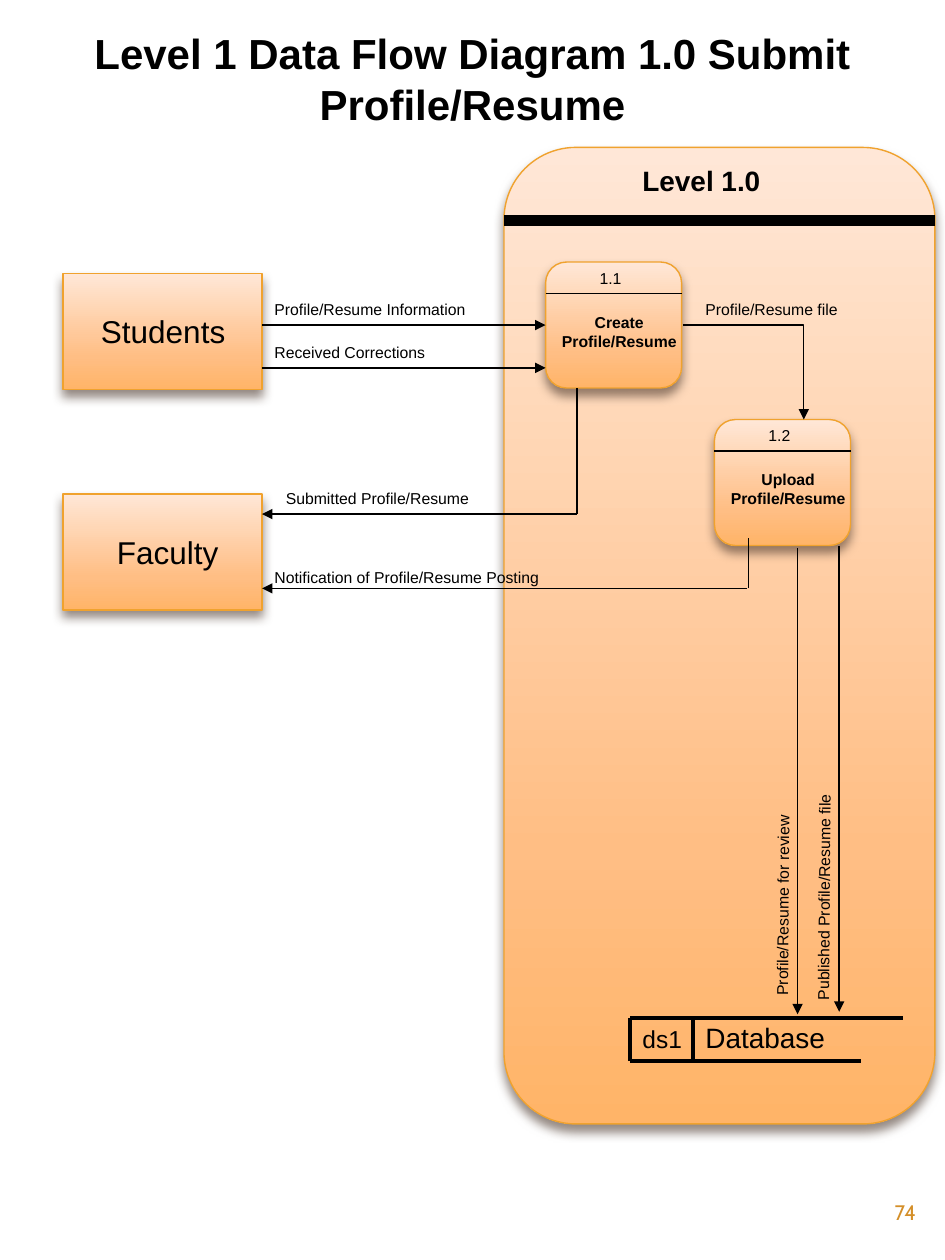
from copy import deepcopy

from lxml import etree
from pptx import Presentation
from pptx.dml import color
from pptx.enum import shapes, text
from pptx.oxml import ns
from pptx.util import Inches, Pt

BLACK = "000000"
GRADIENT = [(0, "FFE7D7"), (0.72, "FFBE84"), (1, "FFB468")]


def rgb(value):
    return color.RGBColor.from_string(value)


def lengths(*values):
    return [Inches(value) for value in values]


def write(frame, words, size=9, font="Arial", ink=BLACK, bold=False,
          align=text.PP_ALIGN.LEFT, anchor=text.MSO_ANCHOR.TOP, wrap=True):
    frame.word_wrap = wrap
    frame.auto_size = text.MSO_AUTO_SIZE.NONE
    frame.vertical_anchor = anchor
    paragraph = frame.paragraphs[0]
    paragraph.alignment = align
    run = paragraph.add_run()
    run.text = words
    run.font.size = Pt(size)
    run.font.name = font
    run.font.bold = bold
    run.font.color.rgb = rgb(ink)


def add_label(slide, words, box, turn=0, **style):
    label = slide.shapes.add_textbox(*lengths(*box))
    label.rotation = turn
    write(label.text_frame, words, **style)


def add_block(slide, kind, box):
    block = slide.shapes.add_shape(kind, *lengths(*box))
    block.fill.gradient()
    block.fill.gradient_angle = 270
    stops = block._element.spPr.find(".//" + ns.qn("a:gsLst"))
    stops.append(deepcopy(stops[0]))
    for stop, (position, shade) in zip(block.fill.gradient_stops, GRADIENT):
        stop.position = position
        stop.color.rgb = rgb(shade)
    block.line.color.rgb = rgb("F0A22E")
    block.line.width = Pt(0.79)
    block.shadow.inherit = False
    effects = block._element.spPr.find(ns.qn("a:effectLst"))
    shadow = etree.SubElement(effects, ns.qn("a:outerShdw"), blurRad=str(Pt(6)),
                              dist=str(Pt(4)), dir="5400000", rotWithShape="0")
    tint = etree.SubElement(shadow, ns.qn("a:srgbClr"), val="4E3B30")
    etree.SubElement(tint, ns.qn("a:alpha"), val="60000")
    return block


def add_line(slide, start, end, width=0.75, arrow=False, bent=False):
    kind = shapes.MSO_CONNECTOR.ELBOW if bent else shapes.MSO_CONNECTOR.STRAIGHT
    line = slide.shapes.add_connector(kind, *lengths(*start, *end))
    line.line.color.rgb = rgb(BLACK)
    line.line.width = Pt(width)
    properties = line._element.spPr
    if bent:
        properties.find(ns.qn("a:prstGeom")).set("prst", "bentConnector2")
    if arrow:
        etree.SubElement(properties.find(ns.qn("a:ln")), ns.qn("a:tailEnd"), type="triangle")
    etree.SubElement(properties, ns.qn("a:effectLst"))
    return line


def add_title(slide, words, box):
    title = slide.shapes.title
    title.left, title.top, title.width, title.height = lengths(*box)
    write(title.text_frame, words, size=24, bold=True, align=text.PP_ALIGN.CENTER)


def add_level(slide, name, box):
    left, top, width, _ = box
    add_block(slide, shapes.MSO_SHAPE.ROUNDED_RECTANGLE, box)
    add_label(slide, name, (left + 1, top + 0.08, 1.15, 0.37), size=16, bold=True, wrap=False)
    add_line(slide, (left, top + 0.58), (left + width, top + 0.58), width=6)


def add_entity(slide, name, box, indent, width, align):
    left, top = box[:2]
    add_block(slide, shapes.MSO_SHAPE.RECTANGLE, box)
    add_label(slide, name, (left + indent, top + 0.26, width, 0.4), size=18, align=align)


def add_process(slide, number, name, box):
    left, top, width, _ = box
    process = add_block(slide, shapes.MSO_SHAPE.ROUNDED_RECTANGLE, box)
    add_line(slide, (left, top + 0.25), (left + width, top + 0.25))
    add_label(slide, number, (left + 0.33, top, 0.75, 0.25))
    add_label(slide, name, (left, top + 0.35, 1.17, 0.4), bold=True,
              align=text.PP_ALIGN.CENTER)
    return process


def add_store(slide, code, name, box):
    left, top, width, height = box
    bottom = top + height
    for x in (left, left + 0.5):
        add_line(slide, (x, top), (x, bottom), width=2.25)
    add_line(slide, (left, top), (left + width, top), width=2.25)
    add_line(slide, (left, bottom), (left + width - 0.34, bottom), width=2.25)
    add_label(slide, code, (left, top, 0.75, 0.33), size=14)
    add_label(slide, name, (left + 0.5, top - 0.03, 1.58, 0.37), size=16)


def add_flows(slide, create):
    information = add_line(slide, (2.08, 2.58), (4.33, 2.58), arrow=True)
    information.end_connect(create, 1)
    arrows = [
        ((2.08, 2.92), (4.33, 2.92)),
        ((4.58, 4.08), (2.08, 4.08)),
        ((5.93, 4.67), (2.08, 4.67)),
        ((6.33, 4.35), (6.33, 8.05)),
        ((6.66, 4.33), (6.66, 8.03)),
    ]
    for start, end in arrows:
        add_line(slide, start, end, arrow=True)
    add_line(slide, (4.58, 4.08), (4.58, 3.08))
    add_line(slide, (5.94, 4.67), (5.94, 4.27))
    add_line(slide, (5.42, 2.58), (6.38, 3.33), arrow=True, bent=True)

    labels = [
        ("Profile/Resume Information", (2.08, 2.33, 1.92, 0.25), 0),
        ("Received Corrections", (2.08, 2.67, 1.58, 0.25), 0),
        ("Submitted Profile/Resume", (2.17, 3.83, 2.08, 0.25), 0),
        ("Notification of Profile/Resume Posting", (2.08, 4.46, 2.33, 0.25), 0),
        ("Profile/Resume file", (5.5, 2.33, 1.58, 0.25), 0),
        ("Profile/Resume for review", (4.8, 6.46, 2.83, 0.25), 270.4),
        ("Published Profile/Resume file", (5.23, 6.6, 2.62, 0.25), 270.4),
    ]
    for words, box, turn in labels:
        add_label(slide, words, box, turn)


def main():
    deck = Presentation()
    deck.slide_width, deck.slide_height = lengths(7.5, 10)
    slide = deck.slides.add_slide(deck.slide_layouts[5])
    add_title(slide, "Level 1 Data Flow Diagram 1.0 Submit Profile/Resume", (0, 0.17, 7.5, 0.91))
    add_level(slide, "Level 1.0", (4, 1.17, 3.42, 7.75))
    add_entity(slide, "Students", (0.5, 2.17, 1.58, 0.92), 0.17, 1.25, text.PP_ALIGN.CENTER)
    add_entity(slide, "Faculty", (0.5, 3.92, 1.58, 0.92), 0.33, 1.58, text.PP_ALIGN.LEFT)
    create = add_process(slide, "1.1", "Create Profile/Resume", (4.33, 2.08, 1.08, 1))
    add_process(slide, "1.2", "Upload Profile/Resume", (5.67, 3.33, 1.08, 1))
    add_store(slide, "ds1", "Database", (5, 8.08, 2.17, 0.34))
    add_flows(slide, create)
    add_label(slide, "74", (6.75, 9.44, 0.62, 0.36), size=12, font="Cabin", ink="D48F29",
              align=text.PP_ALIGN.RIGHT, anchor=text.MSO_ANCHOR.MIDDLE)
    deck.save("out.pptx")


if __name__ == "__main__":
    main()
